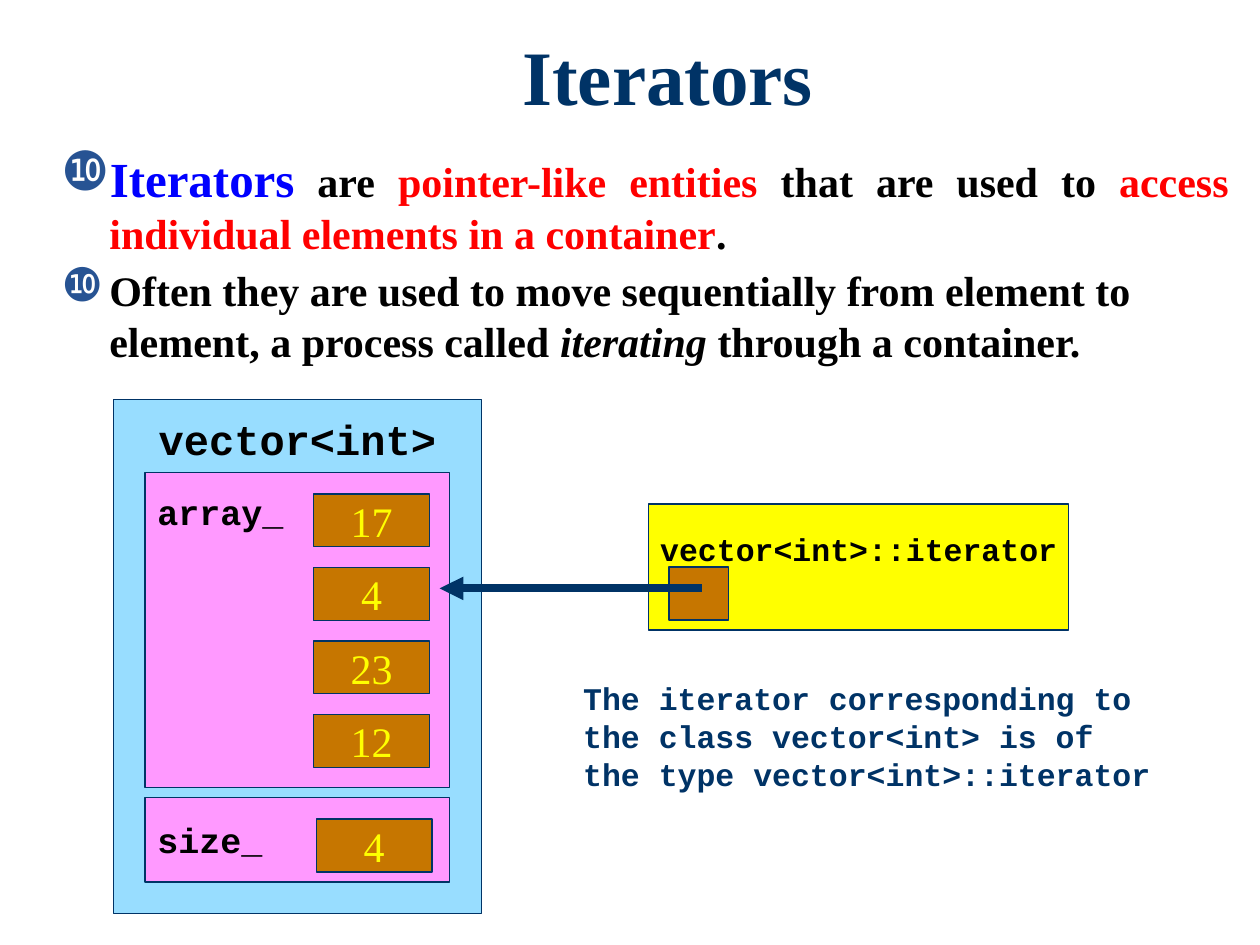
from lxml.etree import SubElement
from pptx import Presentation
from pptx.dml.color import RGBColor
from pptx.enum.shapes import MSO_CONNECTOR as Connector, MSO_SHAPE as Shape
from pptx.enum.text import MSO_ANCHOR as Anchor, PP_ALIGN as Align
from pptx.oxml.ns import qn
from pptx.util import Inches, Pt

COLORS = {
    "navy": "003366", "sky": "98DDFF", "pink": "FF99FF", "brown": "C67600",
    "yellow": "FFFF00", "blue": "0000FF", "red": "FF0000", "black": "000000",
    "bullet": "275393",
}
SERIF, MONO = "Times New Roman", "Courier New"


def color(name):
    """Return a named colour."""
    return RGBColor.from_string(COLORS[name])


class SlideBuilder:
    """Holds the style and the current slide."""

    def __init__(self, deck):
        self.page = deck.slides.add_slide(deck.slide_layouts[5])

    def frame(self, shape, anchor=Anchor.TOP, side=0.1, top=0.05):
        """Set wrapping, anchor and insets, and return the text frame."""
        frame = shape.text_frame
        frame.word_wrap = True
        frame.vertical_anchor = anchor
        frame.margin_left = frame.margin_right = Inches(side)
        frame.margin_top, frame.margin_bottom = Inches(top), Inches(0.05)
        return frame

    def span(self, para, text, size, ink, font=SERIF, bold=True, italic=False):
        """Add one run."""
        span = para.add_run()
        span.text = text
        style = span.font
        style.name, style.size = font, Pt(size)
        style.bold, style.italic = bold, italic
        style.color.rgb = color(ink)

    def title(self, text, left, top, width, height):
        """Place and format the title placeholder."""
        box = self.page.shapes.title
        box.left, box.top = Inches(left), Inches(top)
        box.width, box.height = Inches(width), Inches(height)
        para = self.frame(box, top=0.1).paragraphs[0]
        para.alignment, para.line_spacing = Align.CENTER, 0.9
        self.span(para, text, 44, "navy")

    def text(self, left, top, width, height):
        """Add a text box and return its frame."""
        box = self.page.shapes.add_textbox(
            Inches(left), Inches(top), Inches(width), Inches(height))
        return self.frame(box)

    def bullet(self, para, align):
        """Give a paragraph a hanging coloured bullet."""
        para.alignment, para.space_before = align, Pt(4)
        props = para._p.get_or_add_pPr()
        props.set("marL", str(Inches(0.38)))
        props.set("indent", str(-Inches(0.38)))
        ink = SubElement(props, qn("a:buClr"))
        SubElement(ink, qn("a:srgbClr"), val=COLORS["bullet"])
        SubElement(props, qn("a:buSzPct"), val="110000")
        SubElement(props, qn("a:buChar"), char="\u277f")

    def panel(self, left, top, width, height, fill):
        """Add an outlined rectangle."""
        box = self.page.shapes.add_shape(
            Shape.RECTANGLE, Inches(left), Inches(top), Inches(width), Inches(height))
        box.shadow.inherit = False
        box.fill.solid()
        box.fill.fore_color.rgb = color(fill)
        box.line.color.rgb = color("navy")
        box.line.width = Pt(0.75)
        return box

    def label(self, box, text, size, align, anchor=Anchor.TOP, top=0.05):
        """Write a code label in a panel."""
        side = 0.1 if align == Align.LEFT else 0
        para = self.frame(box, anchor, side, top).paragraphs[0]
        para.alignment = align
        self.span(para, text, size, "black", MONO)

    def cell(self, left, top, value):
        """Add a brown cell with its value."""
        box = self.panel(left, top, 0.92, 0.42, "brown")
        para = self.frame(box, Anchor.MIDDLE, 0).paragraphs[0]
        para.alignment = Align.CENTER
        self.span(para, value, 24, "yellow", bold=False)

    def arrow(self, start, end, y):
        """Add a thick horizontal arrow."""
        line = self.page.shapes.add_connector(
            Connector.STRAIGHT, Inches(start), Inches(y), Inches(end), Inches(y))
        line.line.color.rgb = color("navy")
        line.line.width = Pt(4.5)
        SubElement(line.line._get_or_add_ln(), qn("a:tailEnd"), type="triangle")
        SubElement(line._element.spPr, qn("a:effectLst"))


def add_points(slide):
    """Add the two bulleted statements."""
    points = [
        (Align.JUSTIFY, [
            ("Iterators", 28, "blue", False),
            (" are ", 24, "black", False),
            ("pointer-like entities", 24, "red", False),
            (" that are used to ", 24, "black", False),
            ("access individual elements in a container", 24, "red", False),
            (".", 24, "black", False)]),
        (Align.LEFT, [
            ("Often they are used to move sequentially from element to element, "
             "a process called ", 24, "black", False),
            ("iterating", 24, "black", True),
            (" through a container.", 24, "black", False)]),
    ]
    frame = slide.text(0.39, 1.13, 9.46, 1.91)
    for index, (align, spans) in enumerate(points):
        para = frame.add_paragraph() if index else frame.paragraphs[0]
        slide.bullet(para, align)
        for text, size, ink, italic in spans:
            slide.span(para, text, size, ink, italic=italic)


def add_vector(slide):
    """Draw the vector with its array and size members."""
    vector = slide.panel(0.9, 3.17, 2.92, 4.08, "sky")
    slide.label(vector, "vector<int>", 24, Align.CENTER, top=0.11)
    array = slide.panel(1.15, 3.75, 2.42, 2.5, "pink")
    slide.label(array, "array_", 20, Align.LEFT, top=0.14)
    for row, value in enumerate(["17", "4", "23", "12"]):
        slide.cell(2.49, 3.92 + row * 1.75 / 3, value)
    size = slide.panel(1.15, 6.33, 2.42, 0.67, "pink")
    slide.label(size, "size_", 20, Align.LEFT, Anchor.MIDDLE)
    slide.cell(2.51, 6.5, "4")


def add_iterator(slide):
    """Draw the iterator, its pointer and the caption."""
    iterator = slide.panel(5.15, 4, 3.33, 1, "yellow")
    slide.label(iterator, "vector<int>::iterator", 18, Align.CENTER, top=0.21)
    slide.panel(5.31, 4.5, 0.47, 0.42, "brown")
    slide.arrow(5.57, 3.49, 4.67)
    caption = slide.text(4.53, 5.34, 4.88, 1.01)
    lines = ["The iterator corresponding to", "the class vector<int> is of",
             "the type vector<int>::iterator"]
    for index, text in enumerate(lines):
        para = caption.add_paragraph() if index else caption.paragraphs[0]
        slide.span(para, text, 18, "navy", MONO)


def main():
    """Build and save the deck."""
    deck = Presentation()
    deck.slide_width, deck.slide_height = Inches(10), Inches(7.5)
    slide = SlideBuilder(deck)
    slide.title("Iterators", 1.3, 0.21, 8, 0.92)
    add_points(slide)
    add_vector(slide)
    add_iterator(slide)
    deck.save("out.pptx")


main()
